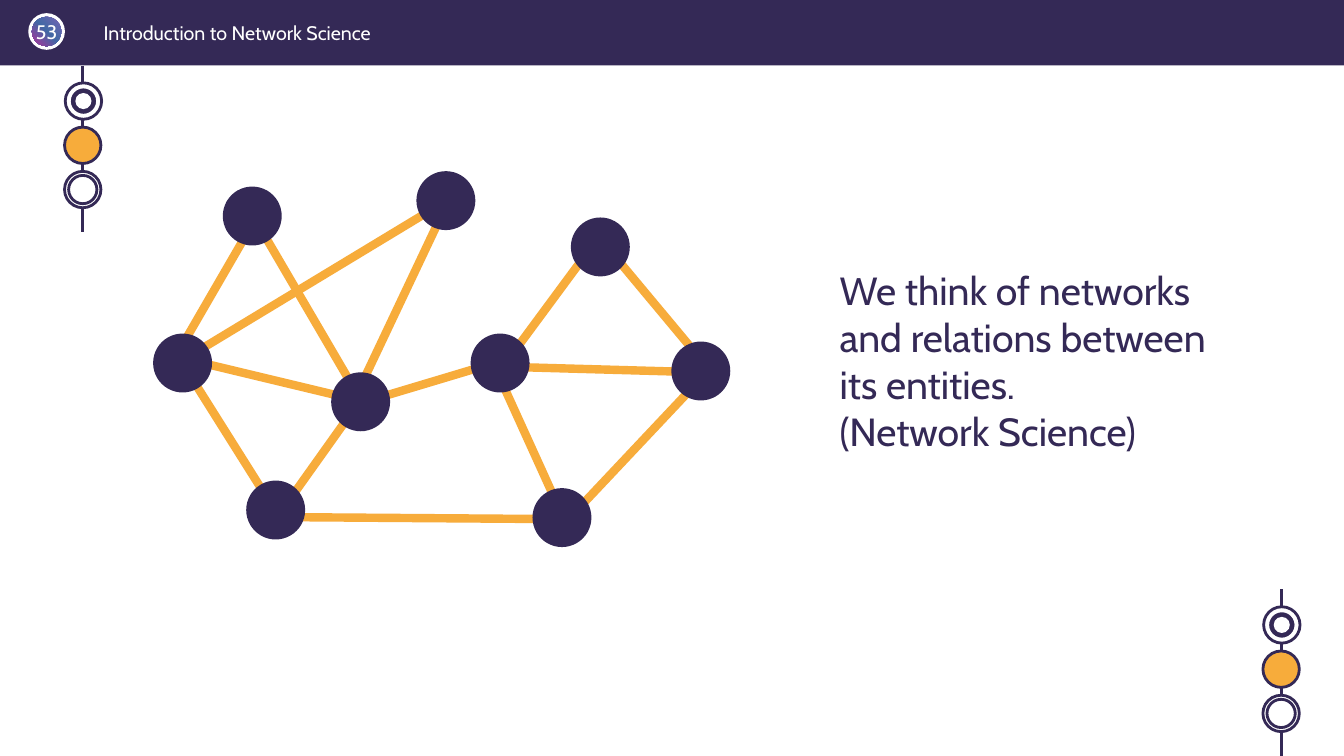
from lxml import etree
from pptx import Presentation
from pptx.dml.color import RGBColor
from pptx.enum.shapes import MSO_CONNECTOR as CONN, MSO_SHAPE as SHAPE
from pptx.enum.text import PP_ALIGN as ALIGN
from pptx.oxml import parse_xml
from pptx.oxml.ns import nsdecls, qn
from pptx.util import Pt

# Content
TITLE = "Introduction to Network Science"
NUMBER = "53"
MESSAGE = ["We think of networks", "and relations between its entities.",
           "(Network Science)"]
FONT = "Cabin"
COLORS = {"navy": "342956", "orange": "F7AC3B", "white": "FFFFFF"}
BADGE_STOPS = [(0, "7864B5"), (49, "4269A5"), (100, "B2329A")]

# Network: node centres, and edges as x1, y1, x2, y2
NODE_SIZE = 42.1
NODES = [(180.2, 154.3), (318.5, 143.3), (257.6, 287), (357.2, 259.3),
         (196.9, 364.3), (428.8, 176.4), (401.4, 369.7), (500.6, 265),
         (130.4, 259.3)]
EDGES = [(187.9, 166.3, 249.8, 272.2), (309.6, 149, 140.4, 251.3),
         (177.1, 165.6, 132.5, 242.6), (131, 260.6, 194.4, 361.4),
         (201.6, 364.3, 249.8, 296.6), (138.2, 257.8, 246.2, 283.7),
         (262.1, 286.6, 353.5, 259.2), (437.8, 181.4, 496.1, 251.3),
         (419.8, 180, 365, 254.2), (365, 262.1, 493.2, 265.7),
         (357.1, 270, 399.6, 363.6), (501.1, 270, 406.1, 370.8),
         (205.9, 369.4, 399.6, 370.8), (319, 146.2, 256.3, 278.6)]

# Bead strings: x of the line and y of its top
STRINGS = [(59.1, 46.8), (915.1, 421)]
STRING_LENGTH, FIRST_BEAD, BEAD_STEP = 119.2, 25.4, 31.6
# Discs of each string: step, x shift, diameter, fill, line
BEADS = [(0, 0.5, 26, "white", "navy"), (0, 0.5, 20.2, "navy", "white"),
         (0, 0.5, 11.5, "white", None), (2, 0, 26, "white", "navy"),
         (2, 0, 20.2, "white", "navy"), (1, 0, 26, "orange", "navy")]

prs = Presentation()
prs.slide_width, prs.slide_height = Pt(960), Pt(540)
s = prs.slides.add_slide(prs.slide_layouts[6])


def rgb(name):
    return RGBColor.from_string(COLORS[name])


def add_shape(kind, x, y, w, h, fill, line=None):
    sp = s.shapes.add_shape(kind, Pt(x), Pt(y), Pt(w), Pt(h))
    sp.shadow.inherit = False
    sp.fill.solid()
    sp.fill.fore_color.rgb = rgb(fill)
    if line:
        sp.line.color.rgb = rgb(line)
        sp.line.width = Pt(2)
    else:
        sp.line.fill.background()
    return sp


def add_disc(cx, cy, d, fill, line=None):
    return add_shape(SHAPE.OVAL, cx - d / 2, cy - d / 2, d, d, fill, line)


def add_line(x1, y1, x2, y2, color, width):
    c = s.shapes.add_connector(CONN.STRAIGHT, Pt(x1), Pt(y1), Pt(x2), Pt(y2))
    c.line.color.rgb = rgb(color)
    c.line.width = Pt(width)
    etree.SubElement(c._element.spPr, qn("a:effectLst"))


def add_text(x, y, w, h, lines, size, color, align=ALIGN.LEFT, inset=True):
    tf = s.shapes.add_textbox(Pt(x), Pt(y), Pt(w), Pt(h)).text_frame
    tf.word_wrap = True
    if not inset:
        tf.margin_left = tf.margin_right = tf.margin_top = tf.margin_bottom = 0
    for i, text in enumerate(lines):
        p = tf.add_paragraph() if i else tf.paragraphs[0]
        p.text, p.alignment = text, align
        p.font.name, p.font.size = FONT, Pt(size)
        p.font.color.rgb = rgb(color)


# Header with the numbered badge
add_shape(SHAPE.RECTANGLE, 0, 0, 960, 46.8, "navy")
add_disc(33.3, 22.5, 26.2, "white")
badge = add_disc(33.3, 22.5, 21, "white")
spPr = badge._element.spPr
stops = "".join(f'<a:gs pos="{pos * 1000}"><a:srgbClr val="{c}"/></a:gs>'
                for pos, c in BADGE_STOPS)
spPr.replace(spPr.find(qn("a:solidFill")), parse_xml(
    f'<a:gradFill {nsdecls("a")}><a:gsLst>{stops}</a:gsLst>'
    '<a:lin ang="8100000" scaled="0"/></a:gradFill>'))
add_text(67, 11.5, 404, 21.6, [TITLE], 14, "white")
add_text(20.2, 13.9, 26.2, 17, [NUMBER], 14, "white", ALIGN.CENTER, False)

# Bead strings
for x, top in STRINGS:
    add_line(x, top, x, top + STRING_LENGTH, "navy", 2.25)
    for step, dx, d, fill, line in BEADS:
        add_disc(x + dx, top + FIRST_BEAD + step * BEAD_STEP, d, fill, line)

# Message
add_text(592.6, 186.5, 277.2, 143.3, MESSAGE, 28, "navy")

# Network
for edge in EDGES:
    add_line(*edge, "orange", 6)
for cx, cy in NODES:
    add_disc(cx, cy, NODE_SIZE, "navy")

prs.save("out.pptx")
